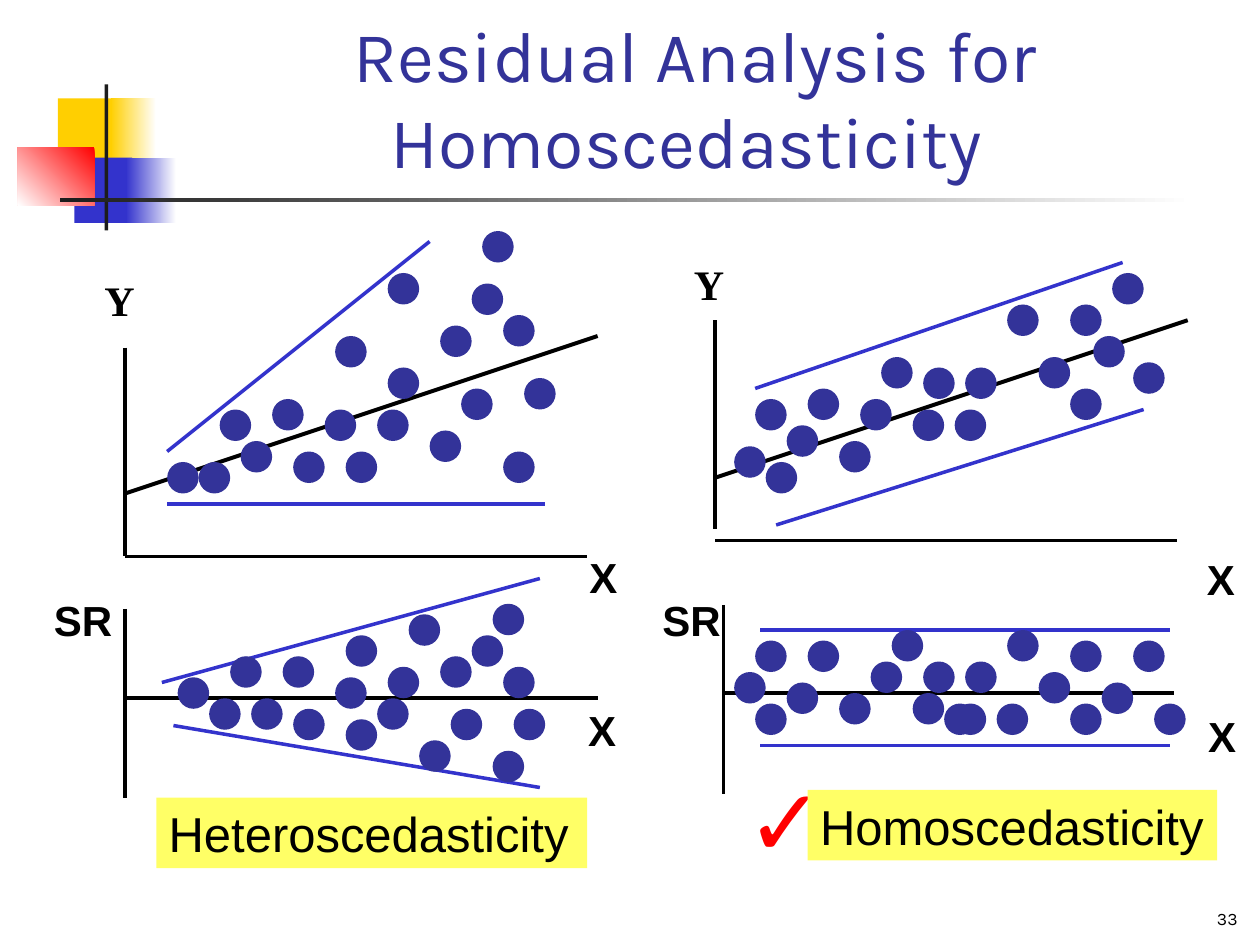
from dataclasses import dataclass
from typing import Optional

from lxml.etree import SubElement
from pptx import Presentation
from pptx.dml.color import RGBColor
from pptx.enum.shapes import MSO_CONNECTOR, MSO_SHAPE
from pptx.enum.text import MSO_ANCHOR as Anchor, PP_ALIGN as Align
from pptx.oxml.ns import qn
from pptx.util import Inches, Pt

BLACK = RGBColor(0x00, 0x00, 0x00)
WHITE = RGBColor(0xFF, 0xFF, 0xFF)
INK = RGBColor(0x1C, 0x1C, 0x1C)
GOLD = RGBColor(0xFF, 0xCF, 0x01)
BLUE = RGBColor(0x33, 0x33, 0xCC)
NAVY = RGBColor(0x33, 0x33, 0x99)
RED = RGBColor(0xFF, 0x00, 0x00)
YELLOW = RGBColor(0xFF, 0xFF, 0x66)

WIDTH, HEIGHT = Inches(10), Inches(7.5)
COLS, ROWS = 120, 90
COL, ROW = WIDTH / COLS, HEIGHT / ROWS
DOT = 3
SHIFT = -0.08

Point = tuple[float, float]
Box = tuple[float, float, float, float]
Segment = tuple[float, float, float, float]


@dataclass(frozen=True)
class Block:
    box: Box
    color: RGBColor
    end: Optional[RGBColor] = None
    angle: float = 0


@dataclass(frozen=True)
class Label:
    text: str
    box: Box
    size: float = 24
    font: str = "Arial"
    color: RGBColor = BLACK
    bold: bool = False
    fill: Optional[RGBColor] = None
    align: Align = Align.LEFT
    anchor: Anchor = Anchor.TOP


@dataclass(frozen=True)
class Panel:
    axes: list[Segment]
    bounds: list[Segment]
    dots: list[Point]
    trend: Optional[Segment] = None


BLOCKS = [
    Block((0.46, 0.78, 0.48, 0.52), GOLD),
    Block((0.88, 0.78, 0.36, 0.52), WHITE, GOLD, 180),
    Block((0.59, 1.25, 0.46, 0.52), BLUE),
    Block((1, 1.25, 0.4, 0.52), WHITE, BLUE, 180),
    Block((0.14, 1.17, 0.61, 0.46), RED, WHITE, 225),
    Block((0.83, 0.67, 0.03, 1.16), INK),
    Block((0.48, 1.57, 9, 0.03), WHITE, INK, 180),
]

PANELS = [
    Panel(
        axes=[(12, 58, 12, 76), (12, 66.5, 57, 66.5)],
        bounds=[(15.5, 65, 51.5, 55.1), (16.6, 69.1, 51.5, 75)],
        dots=[(17, 64.5), (33, 60.5), (20, 66.5), (22, 62.5), (27, 62.5),
              (28, 67.5), (32, 64.5), (24, 66.5), (49, 67.5), (40, 70.5),
              (42, 62.5), (39, 58.5), (37, 63.5), (36, 66.5), (33, 68.5),
              (45, 60.5), (48, 63.5), (47, 57.5), (47, 71.5), (43, 67.5)],
    ),
    Panel(
        axes=[(69, 66, 111.9, 66), (69, 57.6, 69, 75.6)],
        bounds=[(72.5, 60, 111.5, 60), (72.5, 71, 111.5, 71)],
        dots=[(72, 61), (80, 66), (75, 65), (77, 61), (70, 64), (72, 67),
              (96, 60), (83, 63), (85, 60), (88, 63), (91, 67), (87, 66),
              (102, 61), (92, 63), (95, 67), (102, 67), (99, 64), (108, 61),
              (105, 65), (110, 67), (90, 67)],
    ),
    Panel(
        axes=[(12, 33.1, 12, 53), (12, 53, 56, 53)],
        trend=(12, 47, 57, 32),
        bounds=[(16, 43, 41, 23), (16, 48, 52, 48)],
        dots=[(16, 44), (21, 39), (37, 26), (41, 41), (45, 27), (26, 38),
              (44, 37), (48, 43), (46, 22), (48, 30), (42, 31), (33, 43),
              (37, 35), (32, 32), (19, 44), (23, 42), (28, 43), (36, 39),
              (50, 36), (31, 39)],
    ),
    Panel(
        axes=[(68.2, 30.5, 68.2, 50.4), (68.2, 51.5, 112.2, 51.5)],
        trend=(68.2, 45.5, 113.2, 30.5),
        bounds=[(72, 37, 107, 25), (74, 50, 109, 39)],
        dots=[(70, 42.5), (72, 38), (92, 35), (102, 29), (77, 37), (99, 34),
              (102, 37), (104.2, 32), (96, 29), (87, 39), (88, 35), (84, 34),
              (73, 44), (75, 40.5), (80, 42), (91, 39), (108, 34.5), (82, 38),
              (106, 26)],
    ),
]

AXIS_LABELS = [
    ("SR", 0.33, 4.67, 0.84, "Arial"), ("SR", 5.16, 4.67, 0.84, "Arial"),
    ("X", 4.57, 5.54, 0.51, "Arial"), ("X", 9.49, 5.59, 0.51, "Arial"),
    ("X", 4.58, 4.33, 0.51, "Arial"), ("X", 9.48, 4.34, 0.51, "Arial"),
    ("Y", 0.73, 2.13, 0.44, "Times New Roman"),
    ("Y", 5.41, 2, 0.44, "Times New Roman"),
]

LABELS = [
    Label("Residual Analysis for Homoscedasticity ", (1.26, 0.25, 8.52, 1.25),
          41, "Karla", NAVY, align=Align.CENTER, anchor=Anchor.BOTTOM),
    Label("Heteroscedasticity", (1.24, 6.33, 3.42, 0.56), 28, fill=YELLOW),
    Label("✓", (5.83, 6, 1, 1), 54, color=RED),
    Label("Homoscedasticity", (6.41, 6.27, 3.25, 0.56), 28, fill=YELLOW),
    Label("33", (7.84, 6.91, 2.08, 0.51), 10, "Karla",
          align=Align.RIGHT, anchor=Anchor.BOTTOM),
] + [Label(text, (x, y, w, 0.5), font=font, bold=True)
     for text, x, y, w, font in AXIS_LABELS]


def grid(x: float, y: float) -> tuple[int, int]:
    return round((x + SHIFT) * COL), round(y * ROW)


def add_block(s, block: Block) -> None:
    sp = s.shapes.add_shape(MSO_SHAPE.RECTANGLE, *map(Inches, block.box))
    sp.shadow.inherit = False
    sp.line.fill.background()
    if block.end is None:
        sp.fill.solid()
        sp.fill.fore_color.rgb = block.color
        return
    sp.fill.gradient()
    sp.fill.gradient_angle = block.angle
    for stop, color, at in zip(sp.fill.gradient_stops, (block.color, block.end), (0, 1)):
        stop.color.rgb = color
        stop.position = at


def add_line(s, segment: Segment, color: RGBColor, width: float = 2) -> None:
    x1, y1, x2, y2 = segment
    line = s.shapes.add_connector(MSO_CONNECTOR.STRAIGHT, *grid(x1, y1), *grid(x2, y2))
    line.line.color.rgb = color
    line.line.width = Pt(width)
    SubElement(line._element.spPr, qn("a:effectLst"))


def add_dot(s, dot: Point) -> None:
    sp = s.shapes.add_shape(MSO_SHAPE.OVAL, *grid(*dot), round(DOT * COL), round(DOT * ROW))
    sp.shadow.inherit = False
    sp.fill.solid()
    sp.fill.fore_color.rgb = NAVY
    sp.line.fill.background()


def add_panel(s, panel: Panel) -> None:
    for axis in panel.axes:
        add_line(s, axis, BLACK)
    if panel.trend:
        add_line(s, panel.trend, BLACK, 2.25)
    for bound in panel.bounds:
        add_line(s, bound, BLUE)
    for dot in panel.dots:
        add_dot(s, dot)


def add_label(s, label: Label) -> None:
    sp = s.shapes.add_textbox(*map(Inches, label.box))
    if label.fill is not None:
        sp.fill.solid()
        sp.fill.fore_color.rgb = label.fill
    tf = sp.text_frame
    tf.word_wrap = True
    tf.vertical_anchor = label.anchor
    p = tf.paragraphs[0]
    p.text = label.text
    p.alignment = label.align
    p.font.name = label.font
    p.font.size = Pt(label.size)
    p.font.bold = label.bold
    p.font.color.rgb = label.color


def main() -> None:
    prs = Presentation()
    prs.slide_width, prs.slide_height = WIDTH, HEIGHT
    s = prs.slides.add_slide(prs.slide_layouts[6])
    for block in BLOCKS:
        add_block(s, block)
    for panel in PANELS:
        add_panel(s, panel)
    for label in LABELS:
        add_label(s, label)
    prs.save("out.pptx")


if __name__ == "__main__":
    main()
